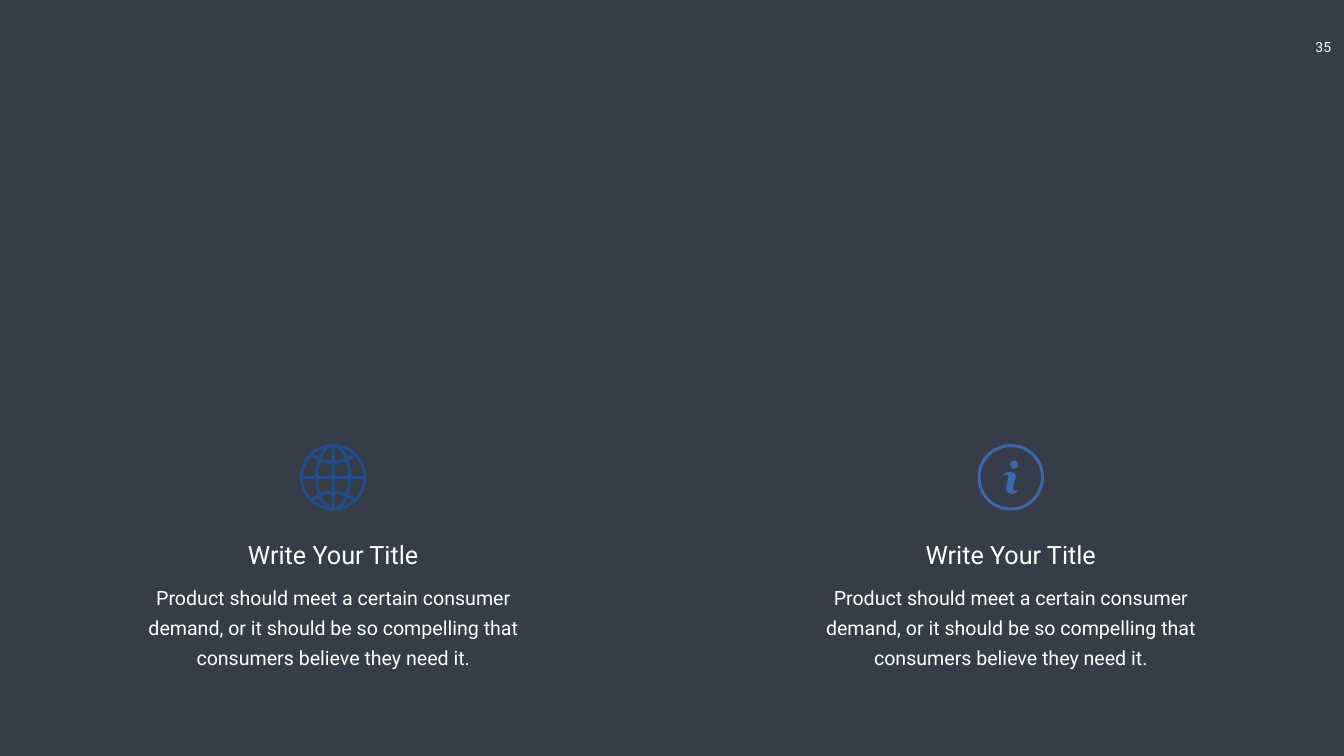
from math import cos, sin, tau

from pptx import Presentation
from pptx.dml.color import RGBColor
from pptx.enum.text import MSO_AUTO_SIZE, PP_ALIGN
from pptx.util import Inches, Pt

CENTER = PP_ALIGN.CENTER
GROW = MSO_AUTO_SIZE.SHAPE_TO_FIT_TEXT
FONT = "Roboto"
WHITE = "FFFFFF"
TITLE = "Write Your Title"
BODY = ("Product should meet a certain consumer demand, or it should be "
        "so compelling that consumers believe they need it.")
RADIUS = 0.66
INNER_RADIUS = 0.6
ICON_Y = 9.47

GLOBE_CELLS = [
    [(0.36, 0.03), (0.6, 0.03), (0.58, 0.16), (0.52, 0.3), (0.43, 0.42),
     (0.37, 0.37), (0.31, 0.33), (0.34, 0.19)],
    [(0.18, 0.58), (0.23, 0.51), (0.29, 0.4), (0.39, 0.46), (0.29, 0.53)],
    [(0.03, 0.6), (0.03, 0.33), (0.13, 0.34), (0.23, 0.37), (0.18, 0.48),
     (0.11, 0.56)],
    [(0.03, 0.03), (0.3, 0.03), (0.29, 0.18), (0.25, 0.31), (0.14, 0.28),
     (0.03, 0.27)],
]
INFO_STEM = [
    (0.09, 0.27), (0.05, 0.26), (0.04, 0.23), (0.05, 0.17), (0.09, 0.04),
    (0.1, -0.02), (0.07, -0.08), (-0.01, -0.11), (-0.07, -0.1),
    (-0.14, -0.07), (-0.15, -0.04), (-0.1, -0.05), (-0.06, -0.04),
    (-0.05, -0.01), (-0.06, 0.05), (-0.09, 0.18), (-0.1, 0.24),
    (-0.07, 0.3), (0.01, 0.33), (0.07, 0.32), (0.13, 0.29), (0.14, 0.26),
]


def rgb(color):
    return RGBColor.from_string(color)


def add_text(s, text, left, top, width, height, size=28, color=WHITE,
             inset=(0.1, 0.05), spacing=None, wrap=True):
    tf = s.shapes.add_textbox(Inches(left), Inches(top),
                              Inches(width), Inches(height)).text_frame
    tf.word_wrap = wrap
    tf.auto_size = GROW
    tf.margin_left = tf.margin_right = Inches(inset[0])
    tf.margin_top = tf.margin_bottom = Inches(inset[1])
    p = tf.paragraphs[0]
    p.alignment = CENTER
    if spacing:
        p.line_spacing = Pt(spacing)
    r = p.add_run()
    r.text = text
    r.font.size = Pt(size)
    r.font.name = FONT
    r.font.color.rgb = rgb(color)


def ellipse(rx, ry, x=0, y=0, steps=72):
    return [(x + rx * cos(tau * i / steps), y + ry * sin(tau * i / steps))
            for i in range(steps)]


def globe_contours():
    cells = [[(x * sx, y * sy) for x, y in cell]
             for cell in GLOBE_CELLS for sx in (1, -1) for sy in (1, -1)]
    return [ellipse(RADIUS, RADIUS)] + cells


def info_contours():
    return [ellipse(RADIUS, RADIUS), ellipse(INNER_RADIUS, INNER_RADIUS),
            ellipse(0.08, 0.08, 0.07, -0.25), INFO_STEM]


def add_icon(s, contours, center_x, color):
    placed = [[(Inches(center_x + x), Inches(ICON_Y + y)) for x, y in contour]
              for contour in contours]
    builder = s.shapes.build_freeform(*placed[0][0])
    builder.add_line_segments(placed[0][1:], close=True)
    for contour in placed[1:]:
        builder.move_to(*contour[0])
        builder.add_line_segments(contour[1:], close=True)
    sp = builder.convert_to_shape()
    sp.shadow.inherit = False
    sp.fill.solid()
    sp.fill.fore_color.rgb = rgb(color)
    sp.line.fill.background()


def add_column(s, center_x, contours, color):
    add_text(s, BODY, center_x - 4.03, 11.37, 8.06, 2,
             inset=(0.24, 0.12), spacing=43)
    add_text(s, TITLE, center_x - 3.05, 10.66, 6.1, 0.71, size=36)
    add_icon(s, contours, center_x, color)


def main():
    prs = Presentation()
    prs.slide_width = Inches(26.66)
    prs.slide_height = Inches(15)
    s = prs.slides.add_slide(prs.slide_layouts[6])
    s.background.fill.solid()
    s.background.fill.fore_color.rgb = rgb("363D48")
    add_text(s, "35", 25.87, 0.67, 0.76, 0.54, size=20,
             inset=(0.2, 0.1), wrap=False)
    add_column(s, 6.61, globe_contours(), "264D89")
    add_column(s, 20.05, info_contours(), "3E67AA")
    prs.save("out.pptx")


if __name__ == "__main__":
    main()
